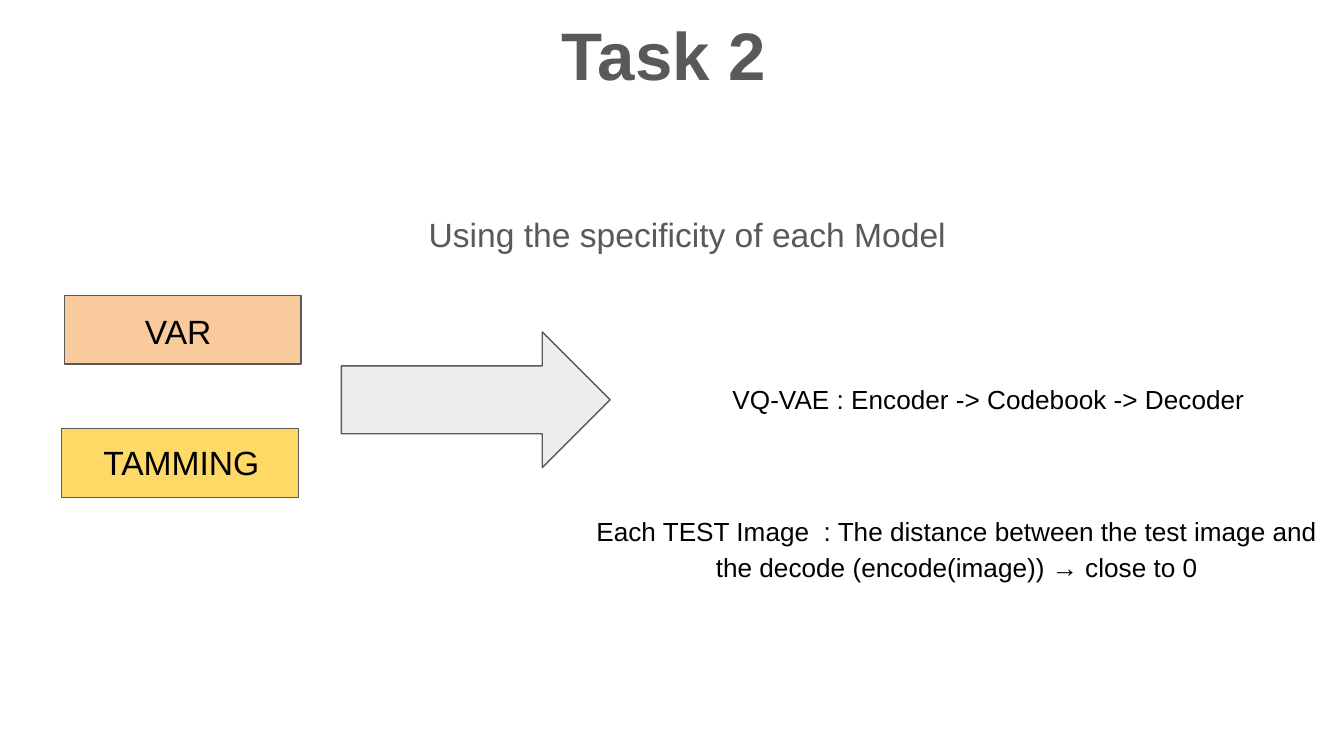
from pptx import Presentation
from pptx.dml.color import RGBColor
from pptx.enum.shapes import MSO_SHAPE
from pptx.enum.text import PP_ALIGN
from pptx.util import Inches, Pt

RECTANGLE = MSO_SHAPE.RECTANGLE
RIGHT_ARROW = MSO_SHAPE.RIGHT_ARROW
LEFT = PP_ALIGN.LEFT
CENTER = PP_ALIGN.CENTER

COLORS = {
    "gray": "595959",
    "black": "000000",
    "orange": "F9CB9C",
    "yellow": "FFD966",
    "light": "EEEEEE",
}

presentation = Presentation()
presentation.slide_width = Inches(10)
presentation.slide_height = Inches(10 * 9 / 16)
slide = presentation.slides.add_slide(presentation.slide_layouts[6])

shapes = [
    (RECTANGLE, 0.48, 2.2, 1.76, 0.51, "orange"),
    (RECTANGLE, 0.46, 3.19, 1.76, 0.51, "yellow"),
    (RIGHT_ARROW, 2.54, 2.47, 2, 1.01, "light"),
]
for kind, left, top, width, height, color in shapes:
    shape = slide.shapes.add_shape(
        kind, Inches(left), Inches(top), Inches(width), Inches(height)
    )
    shape.shadow.inherit = False
    shape.fill.solid()
    shape.fill.fore_color.rgb = RGBColor.from_string(COLORS[color])
    shape.line.color.rgb = RGBColor.from_string(COLORS["gray"])
    shape.line.width = Pt(0.75)

texts = [
    ("Task 2", 0, 0, 10, 1.58, 36, "gray", CENTER, 1, 0.1, 0.22),
    ("VAR", 0.98, 2.21, 1.24, 0.51, 18, "black", LEFT, 1, 0.1, 0.1),
    ("Using the specificity of each Model", 2.95, 1.49, 4.47, 0.51,
     18, "gray", LEFT, 1, 0.24, 0.1),
    ("TAMMING", 0.67, 3.19, 2.49, 0.51, 18, "black", LEFT, 1, 0.1, 0.1),
    ("VQ-VAE : Encoder -> Codebook -> Decoder", 5.3, 2.75, 4.29, 0.44,
     14, "black", LEFT, 1, 0.15, 0.1),
    ("Each TEST Image  : The distance between the test image and "
     "the decode (encode(image)) → close to 0", 4.3, 3.7, 5.64, 0.71,
     14, "black", CENTER, 1.15, 0.1, 0.1),
]
for (text, left, top, width, height, size, color, alignment, spacing,
     left_inset, right_inset) in texts:
    text_box = slide.shapes.add_textbox(
        Inches(left), Inches(top), Inches(width), Inches(height)
    )
    frame = text_box.text_frame
    frame.word_wrap = True
    frame.margin_left = Inches(left_inset)
    frame.margin_right = Inches(right_inset)
    frame.margin_top = frame.margin_bottom = Inches(0.1)
    paragraph = frame.paragraphs[0]
    paragraph.alignment = alignment
    paragraph.line_spacing = spacing
    run = paragraph.add_run()
    run.text = text
    run.font.name = "Arial"
    run.font.size = Pt(size)
    run.font.bold = text == "Task 2"
    run.font.color.rgb = RGBColor.from_string(COLORS[color])

presentation.save("out.pptx")
